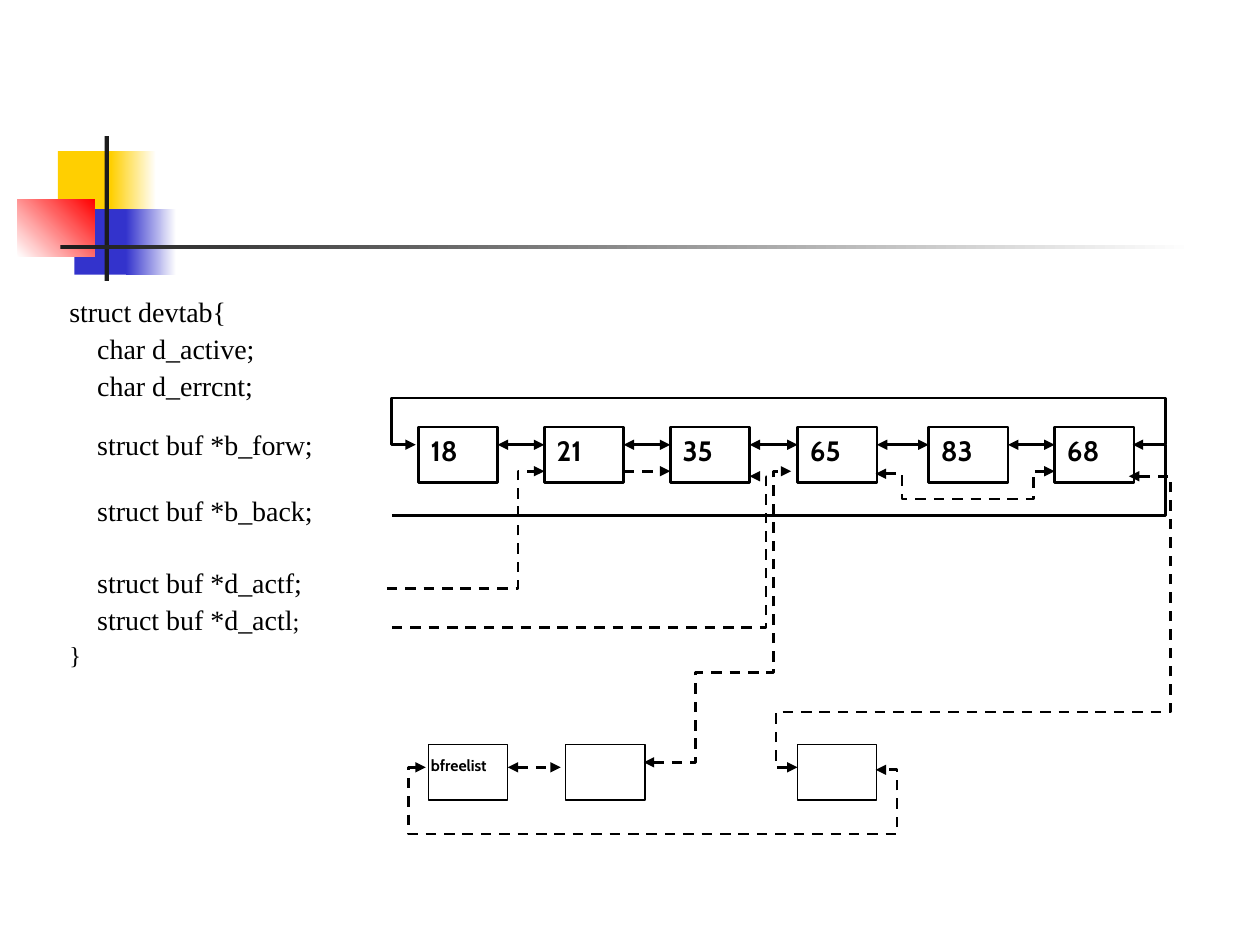
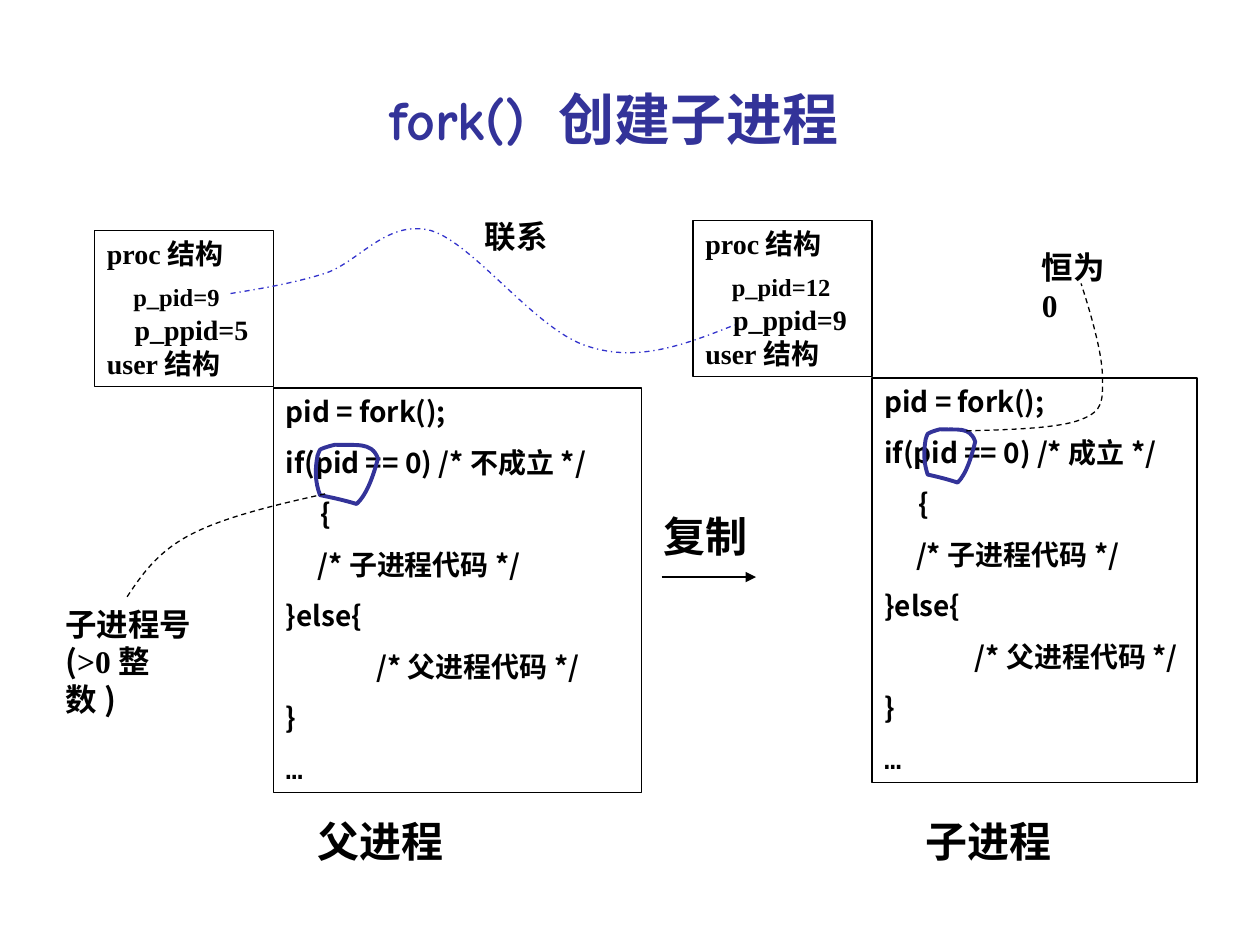
"""Build two slides: linked buffer queues, and fork() creating a child process."""
import dataclasses
import itertools

import lxml.etree
import pptx
import pptx.dml.color
import pptx.enum.dml
import pptx.enum.shapes
import pptx.enum.text
import pptx.oxml.ns
import pptx.util

DASH = pptx.enum.dml.MSO_LINE.DASH
DASH_DOT = pptx.enum.dml.MSO_LINE.DASH_DOT
RECT = pptx.enum.shapes.MSO_SHAPE.RECTANGLE
qn = pptx.oxml.ns.qn


@dataclasses.dataclass(frozen=True)
class Theme:
    """Grid, colours, fonts and sizes that both slides share."""
    cols: int = 100
    rows: int = 75
    cell: float = 0.1
    ink: str = "000000"
    paper: str = "FFFFFF"
    navy: str = "333399"
    blue: str = "3333CC"
    yellow: str = "FFCF01"
    red: str = "FF0000"
    rule: str = "1C1C1C"
    serif: str = "Times New Roman"
    sans: str = "Cabin"
    comic: str = "Comic Neue"
    mono: str = "Courier New"
    cjk: str = "Noto Sans CJK SC"
    title: int = 32
    label: int = 24
    note: int = 18
    body: int = 16
    small: int = 14
    tiny: int = 9
    leading: float = 1.2
    thin: float = 0.75
    thick: float = 1.5


T = Theme()
PAD = (1, 0.5)
RING = [(0.66, 1), (0.46, 0.94), (0.28, 0.9), (0.08, 0.86), (0, 0.64), (0, 0.46),
        (0.04, 0.24), (0.06, 0.2), (0.06, 0.16), (0.08, 0.14), (0.14, 0.1),
        (0.32, 0.06), (0.32, 0.06), (0.64, 0.08), (0.9, 0), (1, 0.28),
        (0.94, 0.5), (0.84, 0.84), (0.66, 1)]


@dataclasses.dataclass
class Para:
    """One paragraph of (text, size, font) runs."""
    runs: list
    before: float = 0
    indent: float = 0
    leading: float = 0


def grid(n):
    """Turn grid cells into a length."""
    return pptx.util.Inches(n * T.cell)


def rgb(value):
    """Turn a hex string into a colour."""
    return pptx.dml.color.RGBColor.from_string(value)


def write(tf, paras, pad=PAD, bold=True, color=T.ink, align=None):
    """Fill a text frame run by run."""
    tf.word_wrap = True
    tf.auto_size = pptx.enum.text.MSO_AUTO_SIZE.NONE
    tf.vertical_anchor = pptx.enum.text.MSO_ANCHOR.TOP
    tf.margin_left = tf.margin_right = grid(pad[0])
    tf.margin_top = tf.margin_bottom = grid(pad[1])
    for i, para in enumerate(paras):
        p = tf.add_paragraph() if i else tf.paragraphs[0]
        p.alignment = align or pptx.enum.text.PP_ALIGN.LEFT
        p.space_before = pptx.util.Pt(para.before)
        if para.leading:
            p.line_spacing = pptx.util.Pt(para.leading)
        if para.indent:
            p._p.get_or_add_pPr().set("marL", str(grid(para.indent)))
        for text, size, font in para.runs:
            r = p.add_run()
            r.text = text
            r.font.size = pptx.util.Pt(size)
            r.font.bold = bold
            r.font.color.rgb = rgb(color)
            r.font.name = font
            ea = lxml.etree.SubElement(r._r.get_or_add_rPr(), qn("a:ea"))
            ea.set("typeface", T.cjk)


def fixed(runs, before=0, indent=0):
    """Make a paragraph whose line height follows its largest run."""
    return Para(runs, before, indent, T.leading * max(r[1] for r in runs))


def label(s, x, y, w, h, runs):
    """Add a bold label."""
    tb = s.shapes.add_textbox(*map(grid, (x, y, w, h)))
    write(tb.text_frame, [fixed(runs)])


def box(s, x, y, w, h, paras=(), weight=T.thin, pad=PAD):
    """Add an outlined rectangle with optional text."""
    sp = s.shapes.add_shape(RECT, *map(grid, (x, y, w, h)))
    sp.shadow.inherit = False
    sp.fill.background()
    stroke(sp, weight)
    write(sp.text_frame, paras, pad)


def stroke(sp, weight, color=T.ink, dash=None, ends=""):
    """Style a line; ends names the arrowheads, from 'head' and 'tail'."""
    sp.line.width = pptx.util.Pt(weight)
    sp.line.color.rgb = rgb(color)
    if dash:
        sp.line.dash_style = dash
    ln = sp._element.spPr.find(qn("a:ln"))
    for end in ends.split():
        lxml.etree.SubElement(ln, qn(f"a:{end}End")).set("type", "triangle")


def link(s, start, end, weight=T.thick, dash=None, ends="head tail"):
    """Add a straight connector."""
    cn = s.shapes.add_connector(pptx.enum.shapes.MSO_CONNECTOR.STRAIGHT,
                                *map(grid, (*start, *end)))
    stroke(cn, weight, dash=dash, ends=ends)
    lxml.etree.SubElement(cn._element.spPr, qn("a:effectLst"))


def route(s, points, weight=T.thick, color=T.ink, dash=None, ends="", close=False):
    """Add an unfilled outline through the points and return it."""
    pts = [(grid(x), grid(y)) for x, y in points]
    fb = s.shapes.build_freeform(*pts[0])
    fb.add_line_segments(pts[1:], close=close)
    sp = fb.convert_to_shape()
    sp.shadow.inherit = False
    sp.fill.background()
    stroke(sp, weight, color, dash, ends)
    return sp


def curve(s, points, weight, color=T.ink, dash=None, close=False):
    """Add a chain of cubic curves, three points to each after the start."""
    sp = route(s, points, weight, color, dash, close=close)
    legs = list(sp._element.iter(qn("a:lnTo")))
    for i in range(0, len(legs), 3):
        bend = lxml.etree.Element(qn("a:cubicBezTo"))
        legs[i].addprevious(bend)
        for leg in legs[i:i + 3]:
            bend.append(leg[0])
            leg.getparent().remove(leg)


def block(s, x, y, w, h, color, fade_to=None, angle=0):
    """Add a plain or fading block."""
    sp = s.shapes.add_shape(RECT, *map(grid, (x, y, w, h)))
    sp.shadow.inherit = False
    sp.line.fill.background()
    if not fade_to:
        sp.fill.solid()
        sp.fill.fore_color.rgb = rgb(color)
        return
    sp.fill.gradient()
    sp.fill.gradient_angle = angle
    for stop, value in zip(sp.fill.gradient_stops, (color, fade_to)):
        stop.color.rgb = rgb(value)


def ornament(s):
    """Draw the coloured squares and the crossing rules."""
    block(s, 4.6, 12, 4.8, 5.2, T.yellow)
    block(s, 8.8, 12, 3.6, 5.2, T.yellow, T.paper)
    block(s, 5.9, 16.6, 4.6, 5.2, T.blue)
    block(s, 10, 16.6, 4, 5.2, T.blue, T.paper)
    block(s, 1.4, 15.8, 6.1, 4.6, T.paper, T.red, 45)
    block(s, 8.3, 10.8, 0.35, 11.5, T.rule)
    block(s, 4.8, 19.45, 90, 0.35, T.rule, T.paper)


def devtab(s):
    """Write the device table structure."""
    gap = 2
    lines = [("struct devtab{", 0), ("    char d_active;", gap),
             ("    char d_errcnt;", gap), ("    struct buf *b_forw;", 14.4),
             ("    struct buf *b_back;", 18.6), ("    struct buf *d_actf;", 22.1)]
    paras = [Para([(text, T.body, T.serif)], before) for text, before in lines]
    paras.append(Para([("    struct buf *d_actl", T.body, T.serif),
                       (";", T.small, T.serif)], gap))
    paras.append(Para([("}", T.small, T.serif)], gap))
    tb = s.shapes.add_textbox(*map(grid, (5.5, 22.85, 25.2, 30.65)))
    write(tb.text_frame, paras, (0, 0.5), bold=False)


def buffers(s):
    """Draw the device queue and the free list."""
    w, h, top, free_top, mid, low = 6.3, 4.4, 33.9, 59.1, 35.3, 37.4
    nodes = dict(zip((33.2, 43.2, 53.2, 63.3, 73.7, 83.7),
                     ("18", "21", "35", "65", "83", "68")))
    for x, number in nodes.items():
        box(s, x, top, w, h, [Para([(number, T.body, T.sans)])], T.thick)
    for a, b in itertools.pairwise(nodes):
        link(s, (a + w, mid), (b, mid))
    link(s, (43.2 + w, low), (53.2, low), dash=DASH, ends="tail")
    box(s, 34, free_top, w, h, [Para([("bfreelist", T.tiny, T.sans)])], pad=(0.2, 0.9))
    for x in (44.9, 63.3):
        box(s, x, free_top, w, h)
    link(s, (40.3, 60.9), (44.5, 60.9), dash=DASH)

    route(s, [(33, mid), (31.1, mid), (31.1, 31.6), (92.5, 31.6), (92.5, mid),
              (89.9, mid)], ends="head tail")
    route(s, [(31.1, 40.9), (92.5, 40.9), (92.5, mid)])
    both = [
        [(69.5, 37.6), (71.6, 37.6), (71.6, 39.6), (82, 39.6), (82, low), (83.7, low)],
        [(51.1, 60.5), (55.2, 60.5), (55.2, 53.4), (61.4, 53.4), (61.4, low), (62.8, low)],
        [(33.8, 60.9), (32.4, 60.9), (32.4, 66.2), (71.2, 66.2), (71.2, 61.1), (69.5, 61.1)],
        [(63.3, 60.9), (61.6, 60.9), (61.6, 56.5), (92.9, 56.5), (92.9, 37.8), (89.6, 37.8)],
    ]
    single = [
        [(30.7, 46.7), (41.1, 46.7), (41.1, low), (43.2, low)],
        [(31.1, 49.8), (60.8, 49.8), (60.8, 37.8), (59.5, 37.8)],
    ]
    for routes, ends in ((both, "head tail"), (single, "tail")):
        for points in routes:
            route(s, points, dash=DASH, ends=ends)


def process(s, x, y, pid, ppid, verdict, code_w, ring):
    """Draw a process: its structures, its code and the ring on pid."""
    w, h = 14.2, 12.4
    body, small = (T.body, T.serif), (T.small, T.serif)
    box(s, x, y, w, h, [fixed([("proc结构", *body)]),
                        fixed([(f"p_pid={pid}", *small)], 6.6, 2.1),
                        fixed([(f"p_ppid={ppid}", *body)], 1, 2.2),
                        fixed([("user结构", *body)])])
    code = ["pid = fork();", f"if(pid == 0) /*{verdict}*/", "　{",
            "     /*子进程代码*/", "}else{", "　　　/*父进程代码*/", "}", "…"]
    box(s, x + w, y + h + 0.1, code_w, 32.1,
        [fixed([(line, T.body, T.mono if line == "…" else T.cjk)], 10 if i else 0)
         for i, line in enumerate(code)])
    rx, ry, rw, rh = ring
    curve(s, [(rx + rw * u, ry + rh * v) for u, v in RING], 2.25, T.navy, close=True)


def title(s, runs):
    """Place and format the slide title."""
    sp = s.shapes.title
    sp.left, sp.top, sp.width, sp.height = map(grid, (7.5, 6.2, 82.5, 6.4))
    write(sp.text_frame, [fixed(runs)], color=T.navy,
          align=pptx.enum.text.PP_ALIGN.CENTER)


def fork(s):
    """Draw parent and child with their notes."""
    title(s, [("fork() ", T.title, T.comic), ("创建子进程", T.title, T.serif)])
    process(s, 7.5, 18.3, 9, 5, "不成立", 29.2, (25, 35, 5, 5))
    process(s, 55, 17.5, 12, 9, "成立", 25.8, (73.3, 33.8, 4.1, 4.5))
    for x, y, w, text in ((51.7, 40, 9.2, "复制"), (24.2, 64.2, 12.5, "父进程"),
                          (72.5, 64.2, 12.5, "子进程")):
        label(s, x, y, w, 5, [(text, T.label, T.serif)])
    link(s, (52.5, 45.8), (60, 45.8), 1, ends="tail")

    label(s, 37.5, 16.7, 10.8, 4, [("联系", T.note, T.serif)])
    label(s, 81.7, 19.2, 8.3, 7, [("恒为0", T.note, T.serif)])
    label(s, 4.2, 47.5, 12.5, 10,
          [("子进程号", T.note, T.serif), ("(", T.note, T.cjk),
           (">0整数", T.note, T.serif), (")", T.note, T.cjk)])
    curve(s, [(18.3, 23.3), (20.8, 22.9), (23.2, 22.5), (25.8, 21.7),
              (28.5, 20.8), (30.7, 17.4), (34.2, 18.3), (37.6, 19.3),
              (42.6, 26.3), (46.7, 27.5), (50.7, 28.8), (54.5, 27.3),
              (58.3, 25.8)], T.thin, T.blue, DASH_DOT)
    curve(s, [(25.8, 39.2), (21.7, 40.1), (17.6, 41.1), (15, 42.5),
              (12.4, 43.9), (11.2, 45.7), (10, 47.5)], T.thin, dash=DASH)
    curve(s, [(76.7, 34.2), (80.3, 34.1), (84, 34), (85.8, 33.3),
              (87.6, 32.6), (87.5, 31.8), (87.5, 30), (87.5, 28.2),
              (86.7, 25.3), (85.8, 22.5)], T.thin, dash=DASH)


def main():
    """Build and save both slides."""
    prs = pptx.Presentation()
    prs.slide_width, prs.slide_height = grid(T.cols), grid(T.rows)
    title_only, blank = prs.slide_layouts[5], prs.slide_layouts[6]
    s = prs.slides.add_slide(blank)
    ornament(s)
    devtab(s)
    buffers(s)
    fork(prs.slides.add_slide(title_only))
    prs.save("out.pptx")


if __name__ == "__main__":
    main()
